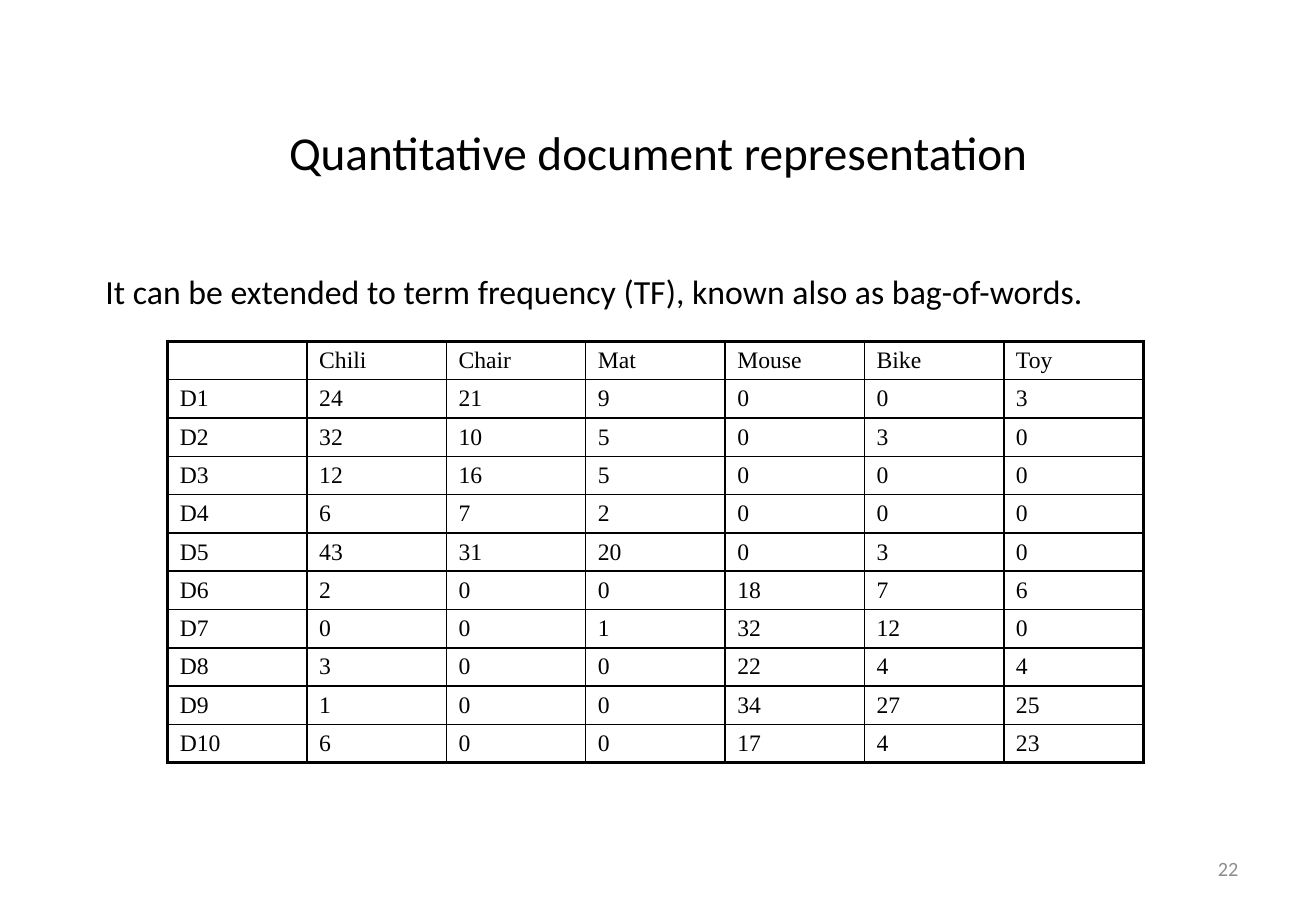
from lxml.etree import SubElement
from pptx import Presentation
from pptx.dml.color import RGBColor
from pptx.enum.text import MSO_ANCHOR, PP_ALIGN
from pptx.oxml.ns import qn
from pptx.util import Inches, Pt

deck = Presentation()
deck.slide_width, deck.slide_height = Inches(10.83), Inches(7.5)
slide = deck.slides.add_slide(deck.slide_layouts[6])
COLUMN, ROW = deck.slide_width / 120, deck.slide_height / 100
BLACK = "000000"


def grid(left, top, width, height):
    return int(left * COLUMN), int(top * ROW), int(width * COLUMN), int(height * ROW)


def write(frame, text, size, font="Calibri", color=BLACK, align=PP_ALIGN.LEFT, anchor=MSO_ANCHOR.MIDDLE):
    frame.word_wrap = True
    frame.vertical_anchor = anchor
    paragraph = frame.paragraphs[0]
    paragraph.alignment = align
    if not text:
        SubElement(paragraph._p, qn("a:endParaRPr"), sz=str(size * 100))
        return
    run = paragraph.add_run()
    run.text = text
    run.font.size = Pt(size)
    run.font.name = font
    run.font.color.rgb = RGBColor.from_string(color)


statement = slide.shapes.add_textbox(*grid(8.53, 29.07, 102.6, 38.8))
write(statement.text_frame, "It can be extended to term frequency (TF), known also as bag-of-words.",
      20, anchor=MSO_ANCHOR.TOP)

title = slide.shapes.add_textbox(*grid(6, 9.6, 108, 14))
write(title.text_frame, "Quantitative document representation", 28, align=PP_ALIGN.CENTER)

page_number = slide.shapes.add_textbox(*grid(86, 92.67, 28, 5.33))
write(page_number.text_frame, "22", 12, color="8C8C8C", align=PP_ALIGN.RIGHT)

terms = ["", "Chili", "Chair", "Mat", "Mouse", "Bike", "Toy"]
counts = [
    [24, 21, 9, 0, 0, 3],
    [32, 10, 5, 0, 3, 0],
    [12, 16, 5, 0, 0, 0],
    [6, 7, 2, 0, 0, 0],
    [43, 31, 20, 0, 3, 0],
    [2, 0, 0, 18, 7, 6],
    [0, 0, 1, 32, 12, 0],
    [3, 0, 0, 22, 4, 4],
    [1, 0, 0, 34, 27, 25],
    [6, 0, 0, 17, 4, 23],
]
records = [terms] + [[f"D{number}", *map(str, line)] for number, line in enumerate(counts, 1)]
last_row, last_column = len(records) - 1, len(terms) - 1

frequencies = slide.shapes.add_table(len(records), len(terms), *grid(15.29, 37.47, 88.98, 46.27)).table
frequencies.first_row = frequencies.horz_banding = False

for r, record in enumerate(records):
    for c, entry in enumerate(record):
        cell = frequencies.cell(r, c)
        cell.margin_top = cell.margin_bottom = Inches(0.04)
        write(cell.text_frame, entry, 14, font="Times New Roman")
        cell.vertical_anchor = MSO_ANCHOR.MIDDLE
        outer_edges = {"L": c == 0, "R": c == last_column, "T": r == 0, "B": r == last_row}
        for side, outer in outer_edges.items():
            border = SubElement(cell._tc.get_or_add_tcPr(), qn(f"a:ln{side}"), w=str(Pt(2.25 if outer else 1)))
            SubElement(SubElement(border, qn("a:solidFill")), qn("a:srgbClr"), val=BLACK)
        cell.fill.background()

deck.save("out.pptx")
